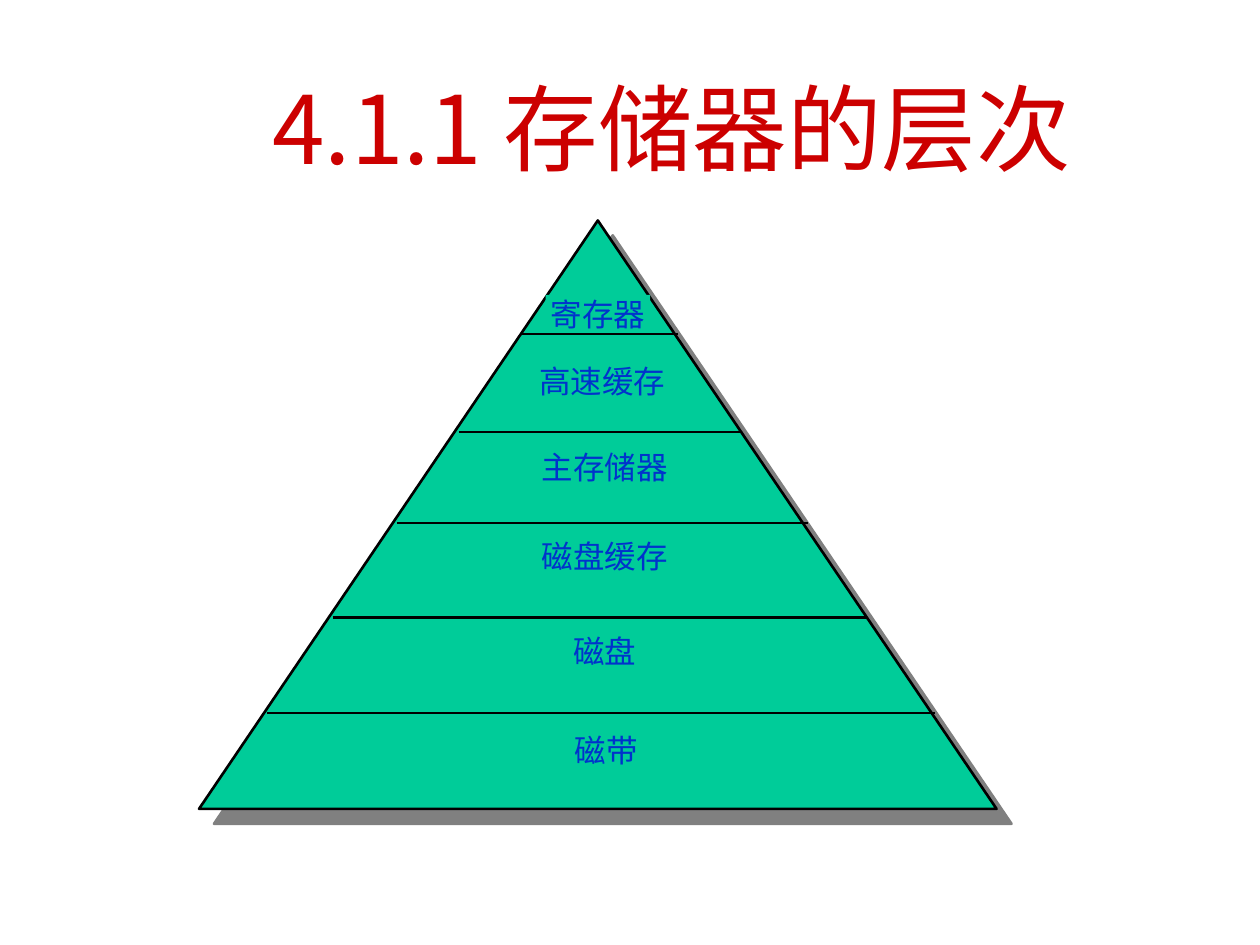
from lxml.etree import SubElement
from pptx import Presentation
from pptx.dml.color import RGBColor
from pptx.enum.shapes import MSO_CONNECTOR, MSO_SHAPE
from pptx.enum.text import MSO_ANCHOR, MSO_AUTO_SIZE, PP_ALIGN
from pptx.oxml.ns import qn
from pptx.util import Inches, Pt

RED = RGBColor(0xCC, 0x00, 0x00)
GREEN = RGBColor(0x00, 0xCC, 0x99)
BLUE = RGBColor(0x00, 0x33, 0xCC)
BLACK = RGBColor(0x00, 0x00, 0x00)
GRAY = RGBColor(0x80, 0x80, 0x80)

# Label text, then its left, top, width, height
TIERS = [
    ("寄存器", 4.33, 2.34, 0.83, 0.39),
    ("高速缓存", 4.22, 2.87, 1.12, 0.41),
    ("主存储器", 4.24, 3.56, 1.12, 0.56),
    ("磁盘缓存", 4.24, 4.26, 1.12, 0.56),
    ("磁盘", 4.24, 5.02, 1.12, 0.56),
    ("磁带", 3.85, 5.8, 1.92, 0.56),
]

# Left end, right end and height of the line below each tier but the last
RULES = [
    (4.14, 5.38, 2.65),
    (3.64, 5.89, 3.43),
    (3.15, 6.41, 4.15),
    (2.64, 6.88, 4.9),
    (2.12, 7.42, 5.66),
]


class Deck:
    font = "Noto Sans CJK JP"
    edge = Pt(1.5)

    def __init__(self, slide):
        self.slide = slide
        self.group = None

    def style(self, frame, text, size, color):
        frame.text = text
        frame.word_wrap = True
        para = frame.paragraphs[0]
        para.alignment = PP_ALIGN.CENTER
        for run in para.runs:
            run.font.size = Pt(size)
            run.font.name = self.font
            run.font.color.rgb = color
            SubElement(run.font._element, qn("a:ea"), typeface=self.font)

    def title(self, text, left, top, width, height):
        box = self.slide.shapes.title
        box.left, box.top = Inches(left), Inches(top)
        box.width, box.height = Inches(width), Inches(height)
        frame = box.text_frame
        self.style(frame, text, 54, RED)
        frame.auto_size = MSO_AUTO_SIZE.NONE
        frame.vertical_anchor = MSO_ANCHOR.MIDDLE
        # The closing line break takes the size of the text
        for mark in frame._txBody.iter(qn("a:br")):
            SubElement(mark, qn("a:rPr"), sz="5400")

    def shape(self, kind, left, top, width, height):
        shape = self.group.shapes.add_shape(
            kind, Inches(left), Inches(top), Inches(width), Inches(height))
        shape.shadow.inherit = False
        shape.fill.solid()
        shape.fill.fore_color.rgb = GREEN
        return shape

    def pyramid(self, *place):
        shape = self.shape(MSO_SHAPE.ISOSCELES_TRIANGLE, *place)
        shape.line.color.rgb = BLACK
        shape.line.width = self.edge
        effects = shape._element.spPr.find(qn("a:effectLst"))
        shadow = SubElement(
            effects, qn("a:outerShdw"), dist=str(Pt(12.1)),
            dir=str(45 * 60000), algn="ctr", rotWithShape="0")
        SubElement(shadow, qn("a:srgbClr"), val=str(GRAY))

    def label(self, text, *place):
        shape = self.shape(MSO_SHAPE.RECTANGLE, *place)
        shape.line.fill.background()
        frame = shape.text_frame
        frame.margin_left = frame.margin_right = 0
        frame.margin_top = frame.margin_bottom = 0
        frame.vertical_anchor = MSO_ANCHOR.TOP
        self.style(frame, text, 18, BLUE)

    def rule(self, left, right, top):
        line = self.group.shapes.add_connector(
            MSO_CONNECTOR.STRAIGHT, Inches(left), Inches(top),
            Inches(right), Inches(top))
        line.line.color.rgb = BLACK
        line.line.width = self.edge
        SubElement(line._element.spPr, qn("a:effectLst"))


def main():
    prs = Presentation()
    prs.slide_width, prs.slide_height = Inches(10), Inches(7.5)
    deck = Deck(prs.slides.add_slide(prs.slide_layouts[5]))

    # Title
    deck.title("4.1.1 存储器的层次\v", 1.08, 0.83, 8.5, 1.25)

    # Pyramid with its tiers
    deck.group = deck.slide.shapes.add_group_shape()
    deck.pyramid(1.58, 1.75, 6.33, 4.67)
    for i, tier in enumerate(TIERS):
        deck.label(*tier)
        if i < len(RULES):
            deck.rule(*RULES[i])

    prs.save("out.pptx")


if __name__ == "__main__":
    main()
